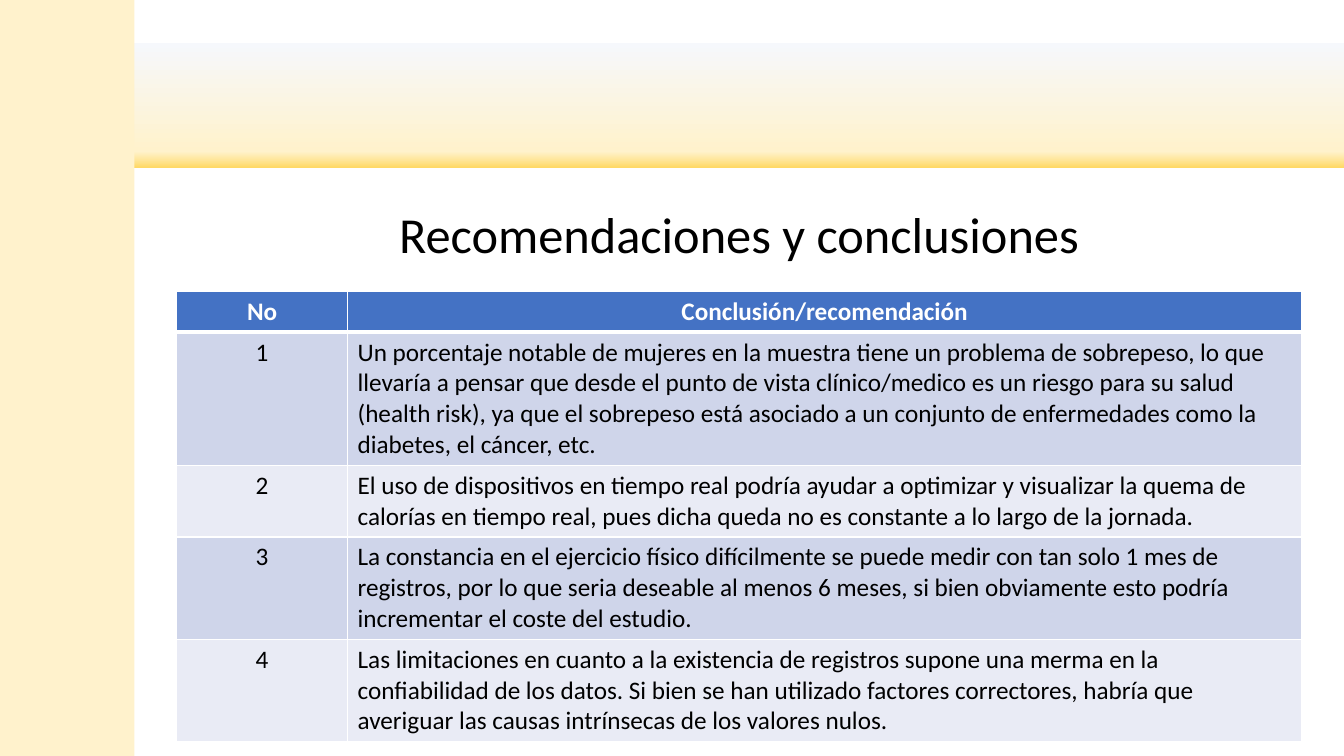
import pptx
import pptx.util
import pptx.dml.color
import pptx.enum.shapes
import pptx.enum.text
import pptx.oxml
import pptx.oxml.ns

Cm, Pt = pptx.util.Cm, pptx.util.Pt
RGBColor = pptx.dml.color.RGBColor
ALIGN = pptx.enum.text.PP_ALIGN

TITLE = "Recomendaciones y conclusiones"
HEADER = ("No", "Conclusión/recomendación")
CONCLUSIONS = [
    "Un porcentaje notable de mujeres en la muestra tiene un problema de sobrepeso, "
    "lo que llevaría a pensar que desde el punto de vista clínico/medico es un riesgo "
    "para su salud (health risk), ya que el sobrepeso está asociado a un conjunto de "
    "enfermedades como la diabetes, el cáncer, etc.",
    "El uso de dispositivos en tiempo real podría ayudar a optimizar y visualizar la "
    "quema de calorías en tiempo real, pues dicha queda no es constante a lo largo de "
    "la jornada.",
    "La constancia en el ejercicio físico difícilmente se puede medir con tan solo 1 mes "
    "de registros, por lo que seria deseable al menos 6 meses, si bien obviamente esto "
    "podría incrementar el coste del estudio.",
    "Las limitaciones en cuanto a la existencia de registros supone una merma en la "
    "confiabilidad de los datos. Si bien se han utilizado factores correctores, habría "
    "que averiguar las causas intrínsecas de los valores nulos.",
]

FONT = "Calibri"
BLACK = RGBColor(0x00, 0x00, 0x00)
WHITE = RGBColor(0xFF, 0xFF, 0xFF)
CREAM = RGBColor(0xFF, 0xF2, 0xCC)
HEADER_BLUE = RGBColor(0x44, 0x72, 0xC4)
ROW_FILLS = (RGBColor(0xCF, 0xD5, 0xEA), RGBColor(0xE9, 0xEB, 0xF5))
BAND_STOPS = [
    (0, RGBColor(0xF6, 0xF8, 0xFC)),
    (87, CREAM),
    (94, RGBColor(0xFF, 0xE6, 0x99)),
    (100, RGBColor(0xFF, 0xD9, 0x66)),
]

SLIDE_W, SLIDE_H = Cm(33.87), Cm(19.05)
SIDEBAR_W = Cm(3.39)
BAND_TOP, BAND_H = Cm(1.09), Cm(3.13)
TITLE_H = Cm(3.33)
TABLE_LEFT, TABLE_TOP = Cm(4.45), Cm(7.34)
COL_WIDTHS = (Cm(4.31), Cm(24.05))
ROW_H = Cm(1.03)


def add_panel(slide, left, top, width, height):
    sp = slide.shapes.add_shape(
        pptx.enum.shapes.MSO_SHAPE.RECTANGLE, left, top, width, height)
    sp.shadow.inherit = False
    sp.line.fill.background()
    return sp


def set_gradient(sp, stops):
    """Fill a shape from top to bottom with (percent, colour) stops."""
    sp.fill.gradient()
    sp.fill.gradient_angle = 270
    stop_list = next(sp.element.iter(pptx.oxml.ns.qn("a:gsLst")))
    stop_list.clear()
    for percent, color in stops:
        stop_list.append(pptx.oxml.parse_xml(
            f'<a:gs {pptx.oxml.ns.nsdecls("a")} pos="{percent * 1000}">'
            f'<a:srgbClr val="{color}"/></a:gs>'))


def set_borders(cell, **widths):
    """Draw white borders; widths in points are keyed L, R, T and B."""
    tc_pr = cell._tc.get_or_add_tcPr()
    for i, (side, width) in enumerate(widths.items()):
        tc_pr.insert(i, pptx.oxml.parse_xml(
            f'<a:ln{side} {pptx.oxml.ns.nsdecls("a")} w="{Pt(width)}">'
            f'<a:solidFill><a:srgbClr val="{WHITE}"/></a:solidFill></a:ln{side}>'))


def format_text(p, size, color, align, bold=False):
    p.alignment = align
    for r in p.runs:
        r.font.name = FONT
        r.font.size = Pt(size)
        r.font.bold = bold
        r.font.color.rgb = color


def add_title(slide):
    title = slide.shapes.title
    title.left, title.top = SIDEBAR_W, BAND_TOP + BAND_H
    title.width, title.height = SLIDE_W - SIDEBAR_W, TITLE_H
    tf = title.text_frame
    tf.text = TITLE
    tf.auto_size = pptx.enum.text.MSO_AUTO_SIZE.NONE
    tf.vertical_anchor = pptx.enum.text.MSO_ANCHOR.MIDDLE
    format_text(tf.paragraphs[0], 36, BLACK, ALIGN.CENTER)


def add_conclusions(slide):
    rows = [HEADER] + [(str(n), text) for n, text in enumerate(CONCLUSIONS, 1)]
    table = slide.shapes.add_table(
        len(rows), len(HEADER), TABLE_LEFT, TABLE_TOP,
        sum(COL_WIDTHS), ROW_H * len(rows)).table
    for column, width in zip(table.columns, COL_WIDTHS):
        column.width = width
    for i, row in enumerate(rows):
        is_header = i == 0
        for j, text in enumerate(row):
            cell = table.cell(i, j)
            cell.text = text
            cell.fill.solid()
            cell.fill.fore_color.rgb = HEADER_BLUE if is_header else ROW_FILLS[(i - 1) % 2]
            set_borders(cell, L=1, R=1, T=3 if i == 1 else 1, B=3 if is_header else 1)
            format_text(cell.text_frame.paragraphs[0], 18,
                        WHITE if is_header else BLACK,
                        ALIGN.CENTER if is_header or j == 0 else ALIGN.LEFT,
                        bold=is_header)


def main():
    prs = pptx.Presentation()
    prs.slide_width, prs.slide_height = SLIDE_W, SLIDE_H
    slide = prs.slides.add_slide(prs.slide_layouts[5])
    band = add_panel(slide, 0, BAND_TOP, SLIDE_W, BAND_H)
    set_gradient(band, BAND_STOPS)
    sidebar = add_panel(slide, 0, 0, SIDEBAR_W, SLIDE_H)
    sidebar.fill.solid()
    sidebar.fill.fore_color.rgb = CREAM
    add_title(slide)
    add_conclusions(slide)
    prs.save("out.pptx")


if __name__ == "__main__":
    main()
